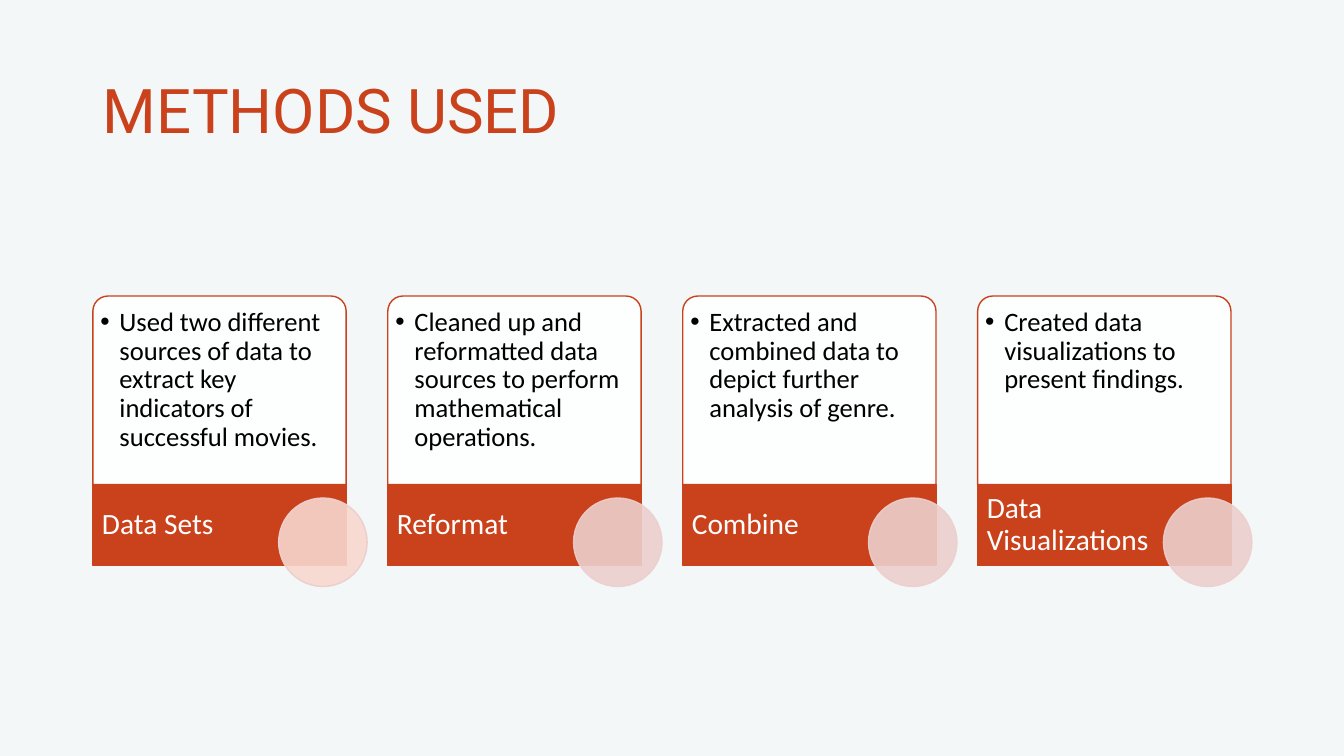
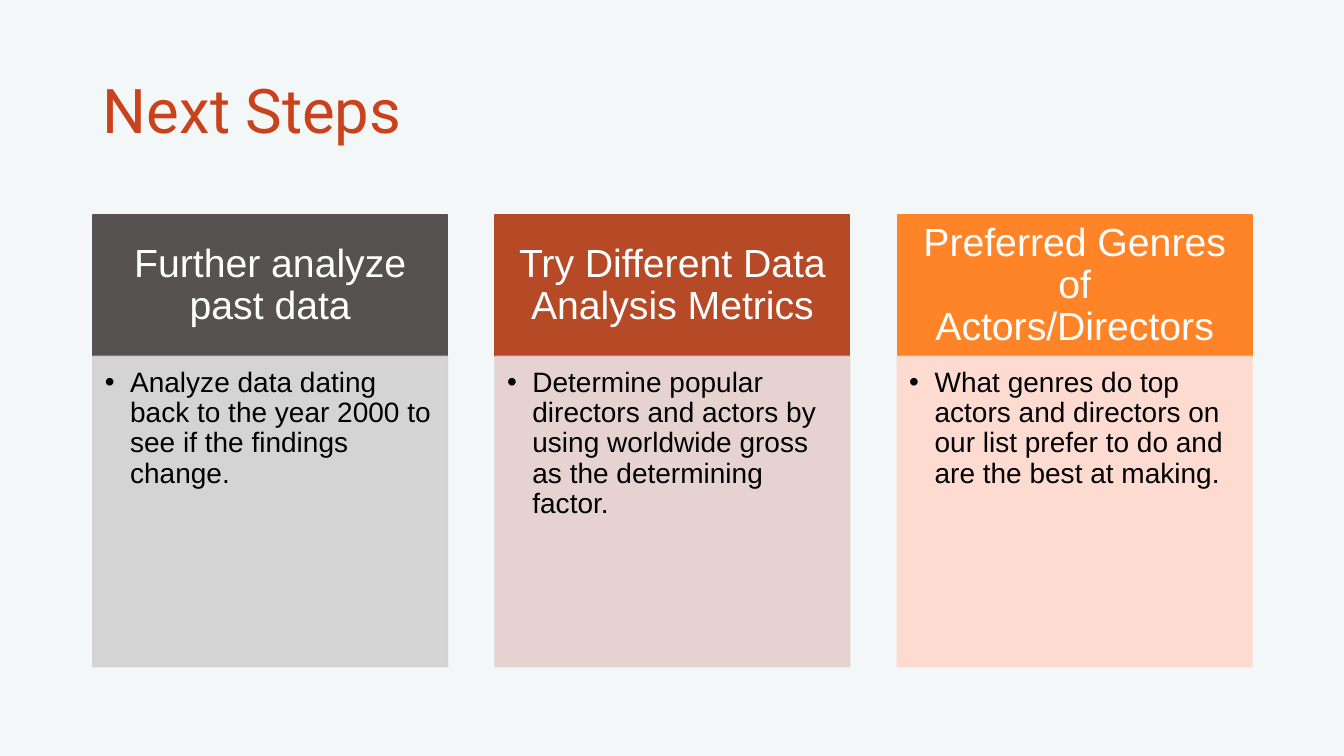
from dataclasses import dataclass

from lxml.etree import SubElement
from pptx import Presentation
from pptx.dml.color import RGBColor
from pptx.enum.shapes import MSO_SHAPE as Shape
from pptx.enum.text import MSO_ANCHOR as Anchor, MSO_AUTO_SIZE as AutoSize, PP_ALIGN as Align
from pptx.oxml.ns import qn
from pptx.util import Cm, Pt


@dataclass(frozen=True)
class Theme:
    background: str = "F3F7F8"
    accent: str = "CA421C"
    white: str = "FFFFFF"
    black: str = "000000"
    circle_first: str = "F8D7CE"
    circle: str = "ECCFCD"
    opacity: int = 90
    title_font: str = "Roboto"
    card_font: str = "Calibri"
    column_font: str = "Arial"
    title_size: int = 44
    card_size: int = 19
    caption_size: int = 21
    header_size: int = 28
    column_size: int = 20


THEME = Theme()


@dataclass(frozen=True)
class Box:
    """A region of the slide, in centimetres."""
    left: float
    top: float
    width: float
    height: float

    def lengths(self):
        return Cm(self.left), Cm(self.top), Cm(self.width), Cm(self.height)

    def columns(self, count, gap):
        width = (self.width - gap * (count - 1)) / count
        return [Box(self.left + i * (width + gap), self.top, width, self.height)
                for i in range(count)]


TITLE_BOX = Box(2.34, 1.02, 18.26, 3.68)
METHODS_BOX = Box(2.34, 7.46, 29.21, 7.32)
STEPS_BOX = Box(2.34, 5.42, 29.21, 11.38)

METHODS = [
    ("Data Sets", "Used two different sources of data to extract key indicators of successful movies."),
    ("Reformat", "Cleaned up and reformatted data sources to perform mathematical operations."),
    ("Combine", "Extracted and combined data to depict further analysis of genre."),
    ("Data Visualizations", "Created data visualizations to present findings."),
]
# Heading, text, heading colour, body colour
STEPS = [
    ("Further analyze past data",
     "Analyze data dating back to the year 2000 to see if the findings change.",
     "575252", "D1D1D1"),
    ("Try Different Data Analysis Metrics",
     "Determine popular directors and actors by using worldwide gross as the determining factor.",
     "B64926", "E5D0CD"),
    ("Preferred Genres of Actors/Directors",
     "What genres do top actors and directors on our list prefer to do and are the best at making.",
     "FF8427", "FFD9CD"),
]


# Shared helpers
def add_panel(slide, kind, box, fill, line, opacity=100):
    """Add a filled shape; a line of the fill's colour shares its opacity."""
    shape = slide.shapes.add_shape(kind, *box.lengths())
    shape.shadow.inherit = False
    shape.fill.solid()
    shape.fill.fore_color.rgb = RGBColor.from_string(fill)
    shape.line.color.rgb = RGBColor.from_string(line)
    shape.line.width = Pt(1)
    if opacity < 100:
        for color in shape.element.spPr.iter(qn("a:srgbClr")):
            if color.get("val") == fill:
                SubElement(color, qn("a:alpha"), val=str(opacity * 1000))
    return shape


def write_text(shape, text, font, size, color, insets=None, anchor=Anchor.MIDDLE,
               align=Align.LEFT, bullet_indent=None):
    """Write one paragraph; insets are left, top, right, bottom."""
    frame = shape.text_frame
    frame.text = text
    frame.word_wrap = True
    frame.auto_size = AutoSize.NONE
    frame.vertical_anchor = anchor
    if insets:
        (frame.margin_left, frame.margin_top,
         frame.margin_right, frame.margin_bottom) = map(Cm, insets)
    paragraph = frame.paragraphs[0]
    paragraph.alignment = align
    paragraph.line_spacing = 0.9
    if bullet_indent:
        properties = paragraph._p.get_or_add_pPr()
        properties.set("marL", str(Cm(bullet_indent)))
        properties.set("indent", str(-Cm(bullet_indent)))
        SubElement(properties, qn("a:buFont"), typeface="Arial")
        SubElement(properties, qn("a:buChar"), char="•")
    paragraph.font.name = font
    paragraph.font.size = Pt(size)
    paragraph.font.color.rgb = RGBColor.from_string(color)


def add_titled_slide(presentation, title):
    slide = presentation.slides.add_slide(presentation.slide_layouts[5])
    shape = slide.shapes.title
    shape.left, shape.top, shape.width, shape.height = TITLE_BOX.lengths()
    write_text(shape, title, THEME.title_font, THEME.title_size, THEME.accent)
    return slide


# Regions
def add_method_card(slide, box, caption, text, circle_color):
    """Rounded text panel over a caption bar, with a circle past its corner."""
    overhang, bar_height, diameter = 0.53, 2.04, 2.23
    width = box.width - overhang
    panel_height = box.height - overhang - bar_height

    panel = add_panel(slide, Shape.ROUND_2_SAME_RECTANGLE,
                      Box(box.left, box.top, width, panel_height),
                      THEME.white, THEME.accent, THEME.opacity)
    panel.adjustments[0] = 0.08
    write_text(panel, text, THEME.card_font, THEME.card_size, THEME.black,
               (0.08, 0.2, 0.08, 0.08), Anchor.TOP, bullet_indent=0.48)

    bar = add_panel(slide, Shape.RECTANGLE,
                    Box(box.left, box.top + panel_height, width, bar_height),
                    THEME.accent, THEME.accent)
    write_text(bar, caption, THEME.card_font, THEME.caption_size, THEME.white,
               (0.23, 0, 1.96, 0))

    add_panel(slide, Shape.OVAL,
              Box(box.left + box.width - diameter, box.top + box.height - diameter,
                  diameter, diameter),
              circle_color, THEME.circle, THEME.opacity)


def add_step_column(slide, box, heading, text, heading_color, body_color):
    """Coloured heading above a tinted body."""
    heading_height = 3.56
    header = add_panel(slide, Shape.RECTANGLE,
                       Box(box.left, box.top, box.width, heading_height),
                       heading_color, heading_color)
    write_text(header, heading, THEME.column_font, THEME.header_size, THEME.white,
               (0.56, 0.3, 0.56, 0.3), align=Align.CENTER)

    body = add_panel(slide, Shape.RECTANGLE,
                     Box(box.left, box.top + heading_height, box.width,
                         box.height - heading_height),
                     body_color, body_color, THEME.opacity)
    write_text(body, text, THEME.column_font, THEME.column_size, THEME.black,
               (0.3, 0.3, 0.41, 0.43), Anchor.TOP, bullet_indent=0.64)


# Slides
def add_methods_slide(presentation):
    slide = add_titled_slide(presentation, "METHODS USED")
    boxes = METHODS_BOX.columns(len(METHODS), gap=0.52)
    for index, (box, (caption, text)) in enumerate(zip(boxes, METHODS)):
        circle_color = THEME.circle if index else THEME.circle_first
        add_method_card(slide, box, caption, text, circle_color)


def add_steps_slide(presentation):
    slide = add_titled_slide(presentation, "Next Steps")
    for box, step in zip(STEPS_BOX.columns(len(STEPS), gap=1.2), STEPS):
        add_step_column(slide, box, *step)


def main():
    presentation = Presentation()
    presentation.slide_width, presentation.slide_height = Cm(33.87), Cm(19.05)
    background = presentation.slide_master.background.fill
    background.solid()
    background.fore_color.rgb = RGBColor.from_string(THEME.background)
    add_methods_slide(presentation)
    add_steps_slide(presentation)
    presentation.save("out.pptx")


if __name__ == "__main__":
    main()
